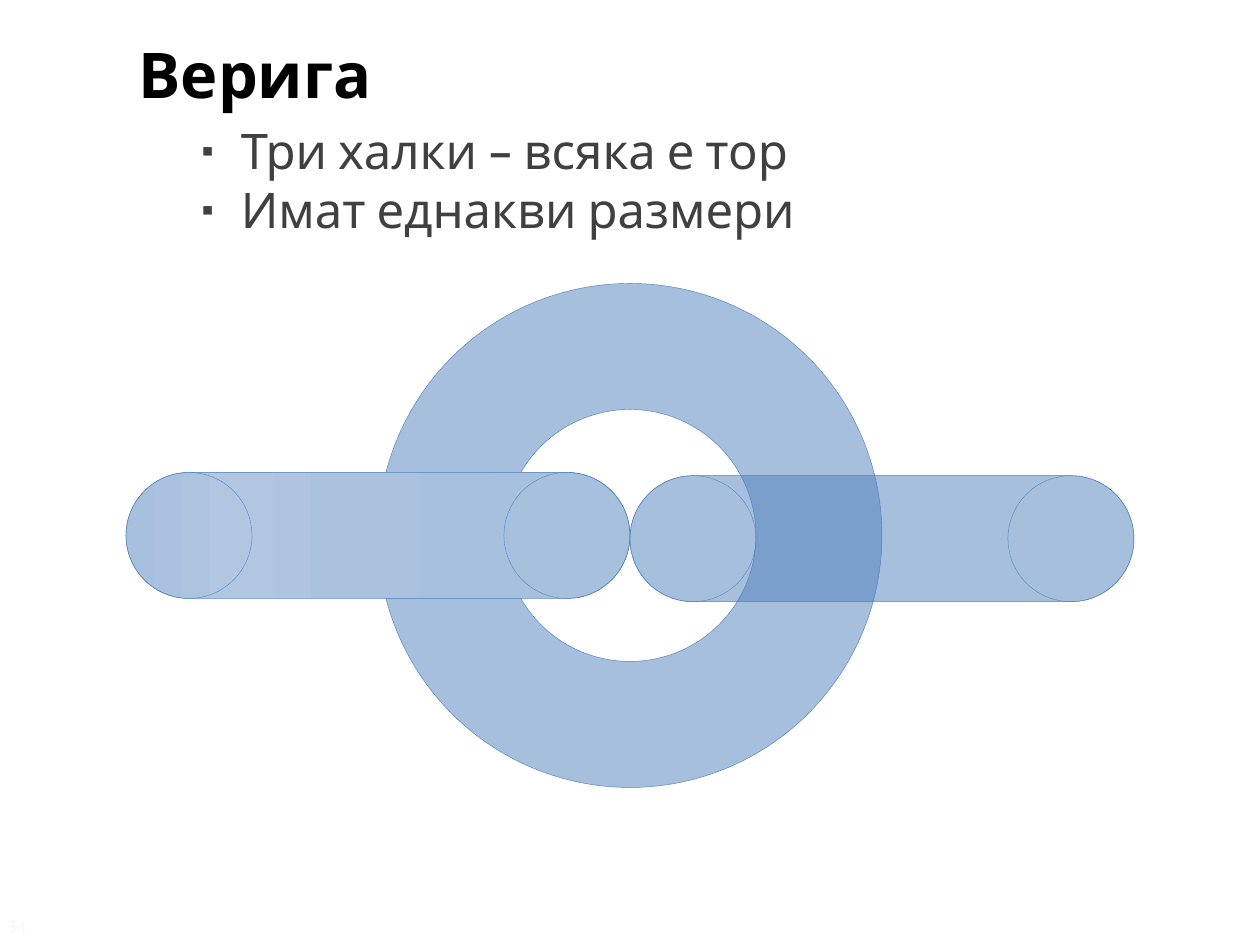
from dataclasses import dataclass

from lxml import etree
from pptx import Presentation
from pptx.dml.color import RGBColor
from pptx.enum.dml import MSO_LINE
from pptx.enum.shapes import MSO_SHAPE
from pptx.enum.text import MSO_ANCHOR, MSO_AUTO_SIZE, PP_ALIGN
from pptx.oxml.ns import qn
from pptx.util import Cm, Pt

DONUT = MSO_SHAPE.DONUT
PILL = MSO_SHAPE.ROUNDED_RECTANGLE
OVAL = MSO_SHAPE.OVAL
SHORT_DASH = MSO_LINE.SQUARE_DOT
TOP = MSO_ANCHOR.TOP
NO_FIT = MSO_AUTO_SIZE.NONE
LEFT = PP_ALIGN.LEFT


@dataclass(frozen=True)
class Theme:
    font: str = "Cabin"
    title: str = "000000"
    body: str = "404040"
    page: str = "FAFAF5"
    link: str = "4F81BD"
    link_opacity: int = 50
    sheen: tuple = ((0, "A7C0DE"), (22, "B0C6E1"), (44, "ABC2DF"),
                    (72, "A7C0DE"), (100, "A7C0DE"))
    title_size: int = 36
    body_size: int = 28
    page_size: int = 10
    outline: float = 0.25


@dataclass(frozen=True)
class Box:
    left: float
    top: float
    width: float
    height: float

    def lengths(self) -> tuple:
        return Cm(self.left), Cm(self.top), Cm(self.width), Cm(self.height)


@dataclass(frozen=True)
class SideLink:
    left: float
    top: float
    sheen: bool


THEME = Theme()
TUBE = 2.54
LINK_SPAN = 4 * TUBE
FRONT_LINK = Box(3 * TUBE, 2.25 * TUBE, LINK_SPAN, LINK_SPAN)
SIDE_LINKS = (
    SideLink(5 * TUBE, 9.59, False),
    SideLink(TUBE, 3.75 * TUBE, True),
)
FEATURES = ("Три халки – всяка е тор", "Имат еднакви размери")


def add_text(paragraph, text: str, size: float, color: str, bold: bool = False) -> None:
    run = paragraph.add_run()
    run.text = text
    run.font.name = THEME.font
    run.font.size = Pt(size)
    run.font.bold = bold
    run.font.color.rgb = RGBColor.from_string(color)


def prepare_frame(shape, box: Box):
    shape.left, shape.top, shape.width, shape.height = box.lengths()
    frame = shape.text_frame
    frame.word_wrap = True
    frame.auto_size = NO_FIT
    frame.vertical_anchor = TOP
    return frame


def set_bullet(paragraph, color: str) -> None:
    properties = paragraph._p.get_or_add_pPr()
    properties.set("marL", str(Cm(2.06)))
    properties.set("indent", str(Cm(-0.79)))
    bullet_color = etree.SubElement(properties, qn("a:buClr"))
    etree.SubElement(bullet_color, qn("a:srgbClr"), val=color)
    etree.SubElement(properties, qn("a:buSzPct"), val="70000")
    etree.SubElement(properties, qn("a:buChar"), char="▪")


def add_outlined(slide, kind, box: Box):
    shape = slide.shapes.add_shape(kind, *box.lengths())
    shape.shadow.inherit = False
    shape.line.color.rgb = RGBColor.from_string(THEME.link)
    shape.line.width = Pt(THEME.outline)
    return shape


def fill_translucent(shape) -> None:
    shape.fill.solid()
    shape.fill.fore_color.rgb = RGBColor.from_string(THEME.link)
    color = shape._element.spPr.find(qn("a:solidFill")).find(qn("a:srgbClr"))
    etree.SubElement(color, qn("a:alpha"), val=str(THEME.link_opacity * 1000))


def fill_sheen(shape) -> None:
    shape.fill.gradient()
    shape.fill.gradient_angle = 0
    stops = shape._element.spPr.find(qn("a:gradFill")).find(qn("a:gsLst"))
    for stop in list(stops):
        stops.remove(stop)
    for position, color in THEME.sheen:
        stop = etree.SubElement(stops, qn("a:gs"), pos=str(position * 1000))
        etree.SubElement(stop, qn("a:srgbClr"), val=color)


def add_front_link(slide) -> None:
    ring = add_outlined(slide, DONUT, FRONT_LINK)
    ring.adjustments[0] = TUBE / LINK_SPAN
    fill_translucent(ring)


def add_side_link(slide, link: SideLink) -> None:
    tube = add_outlined(slide, PILL, Box(link.left, link.top, LINK_SPAN, TUBE))
    tube.adjustments[0] = 0.5
    if link.sheen:
        fill_sheen(tube)
    else:
        fill_translucent(tube)


def add_sections(slide, link: SideLink) -> None:
    for offset in (0, LINK_SPAN - TUBE):
        section = add_outlined(slide, OVAL, Box(link.left + offset, link.top, TUBE, TUBE))
        section.fill.background()
        section.line.dash_style = SHORT_DASH


def main() -> None:
    deck = Presentation()
    deck.slide_width, deck.slide_height = Cm(25.4), Cm(19.05)
    slide = deck.slides.add_slide(deck.slide_layouts[1])

    heading = prepare_frame(slide.shapes.title, Box(2.54, 0.58, 22.66, 1.9)).paragraphs[0]
    heading.alignment = LEFT
    add_text(heading, "Верига", THEME.title_size, THEME.title, True)

    features = prepare_frame(slide.placeholders[1], Box(2.54, 2.31, 22.66, 3.2))
    for index, feature in enumerate(FEATURES):
        item = features.add_paragraph() if index else features.paragraphs[0]
        item.level = 1
        item.space_before = Pt(0)
        set_bullet(item, THEME.body)
        add_text(item, feature, THEME.body_size, THEME.body)

    add_front_link(slide)
    for link in SIDE_LINKS:
        add_side_link(slide, link)
    for link in SIDE_LINKS:
        add_sections(slide, link)

    page_box = Box(-0.1, 18.35, 1.5, 0.7)
    page = prepare_frame(slide.shapes.add_textbox(*page_box.lengths()), page_box)
    add_text(page.paragraphs[0], "34", THEME.page_size, THEME.page)

    deck.save("out.pptx")


if __name__ == "__main__":
    main()
